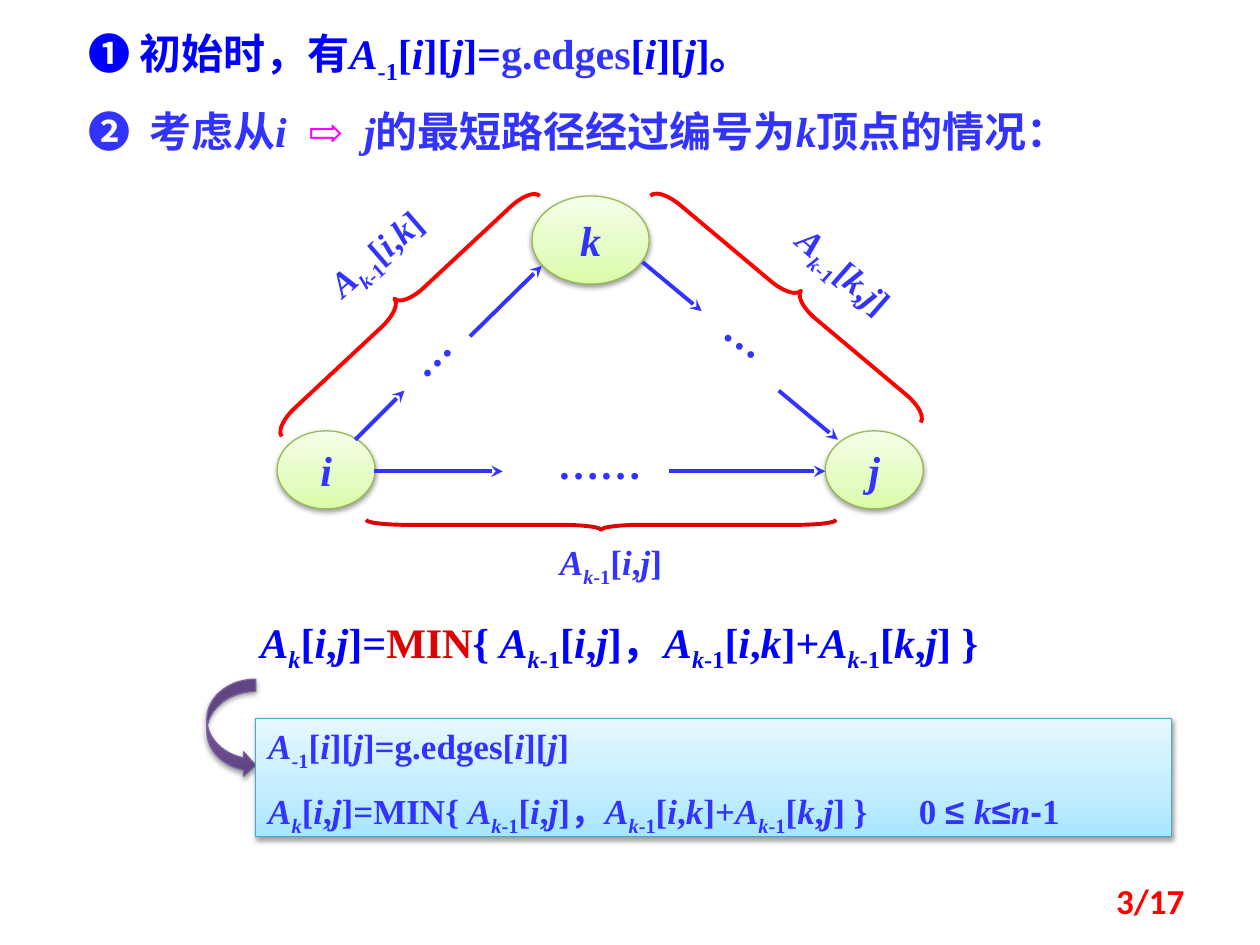
from lxml import etree
from pptx import Presentation
from pptx.dml.color import RGBColor
from pptx.enum import shapes, text
from pptx.oxml import ns
from pptx.util import Pt

COLORS = {"blue": "3333FF", "bright": "0000FF", "red": "FF0000", "crimson": "DB0303",
          "magenta": "FF00FF", "leaf": "98B955", "teal": "46AAC5", "purple": "7D60A0",
          "shadow": "000000"}
GRADIENTS = {"leaf": [(0, "DAFDA7"), (35, "E4FCC2"), (100, "F5FFE7")],
             "teal": [(0, "A7E6FF"), (35, "C1EDFF"), (100, "E7F8FF")],
             "purple": [(0, "5F4480"), (80, "7B58A6"), (100, "7C57A8")]}
SERIF, CJK, SANS = "Times New Roman", "Noto Sans CJK SC", "Calibri"
CENTER, LEFT, RIGHT = text.PP_ALIGN.CENTER, text.PP_ALIGN.LEFT, text.PP_ALIGN.RIGHT


def rgb(name):
    return RGBColor.from_string(COLORS[name])


def child(parent, tag, **attributes):
    return etree.SubElement(parent, ns.qn(tag), {key: str(value) for key, value in attributes.items()})


def matrix(index, row, column):
    return f"*A*~{index}~[*{row}*,*{column}*]"


def path_length(row, column):
    return matrix("*k*-1", row, column)


def minimum_terms():
    return f"{{ {path_length('i', 'j')}，{path_length('i', 'k')}+{path_length('k', 'j')} }}"


def add_runs(paragraph, markup, color, font=None):
    for level, part in enumerate(markup.split("~")):
        for slant, piece in enumerate(part.split("*")):
            if not piece:
                continue
            run = paragraph.add_run()
            run.text = piece
            run.font.italic = slant % 2 == 1
            run.font.color.rgb = rgb(color)
            if font:
                run.font.name = font
            if level % 2:
                run.font._rPr.set("baseline", "-25000")


def write(frame, paragraphs, size, font=SERIF, align=CENTER, tab=None):
    for index, segments in enumerate(paragraphs):
        paragraph = frame.paragraphs[0] if index == 0 else frame.add_paragraph()
        paragraph.alignment = align
        if index:
            paragraph.space_before = Pt(size / 2)
        properties = paragraph._p.get_or_add_pPr()
        if tab:
            child(child(properties, "a:tabLst"), "a:tab", pos=Pt(tab), algn="l")
        paragraph.font.name = font
        paragraph.font.size = Pt(size)
        paragraph.font.bold = True
        child(properties.find(ns.qn("a:defRPr")), "a:ea", typeface=CJK)
        for segment in segments:
            add_runs(paragraph, *segment)


def add_text(slide, box, paragraphs, size, rotation=0, inset=None, grow=True, **options):
    shape = slide.shapes.add_textbox(*map(Pt, box))
    shape.rotation = rotation
    frame = shape.text_frame
    frame.word_wrap = True
    if grow:
        frame.auto_size = text.MSO_AUTO_SIZE.SHAPE_TO_FIT_TEXT
    if inset is not None:
        frame.margin_left = frame.margin_right = frame.margin_top = frame.margin_bottom = Pt(inset)
    write(frame, paragraphs, size, **options)
    return shape


def add_glossy(slide, kind, box, color):
    shape = slide.shapes.add_shape(kind, *map(Pt, box))
    shape.fill.gradient()
    shape.fill.gradient_angle = 90
    stops = shape._element.spPr.find(".//" + ns.qn("a:gsLst"))
    for stop in list(stops):
        stops.remove(stop)
    for position, value in GRADIENTS[color]:
        child(child(stops, "a:gs", pos=position * 1000), "a:srgbClr", val=value)
    shape.line.color.rgb = rgb(color)
    shape.line.width = Pt(0.75)
    shape.shadow.inherit = False
    effects = shape._element.spPr.find(ns.qn("a:effectLst"))
    shadow = child(effects, "a:outerShdw", blurRad=Pt(3.1), dist=Pt(1.6),
                   dir=5400000, rotWithShape=0)
    child(child(shadow, "a:srgbClr", val=COLORS["shadow"]), "a:alpha", val=38000)
    return shape


def add_node(slide, box, name):
    frame = add_glossy(slide, shapes.MSO_SHAPE.OVAL, box, "leaf").text_frame
    frame.word_wrap = False
    frame.vertical_anchor = text.MSO_ANCHOR.MIDDLE
    write(frame, [[(f"*{name}*", "blue")]], 24)


def add_arrow(slide, *ends):
    connector = slide.shapes.add_connector(shapes.MSO_CONNECTOR.STRAIGHT, *map(Pt, ends))
    connector.line.color.rgb = rgb("blue")
    connector.line.width = Pt(2.25)
    child(connector.line._get_or_add_ln(), "a:tailEnd", type="stealth")
    child(connector._element.spPr, "a:effectLst")


def add_brace(slide, kind, box, rotation, curve, color):
    brace = slide.shapes.add_shape(kind, *map(Pt, box))
    brace.rotation = rotation
    brace.adjustments[0] = curve
    brace.fill.background()
    brace.line.color.rgb = rgb(color)
    brace.line.width = Pt(2.25)
    brace.shadow.inherit = False


def draw_steps(slide, box):
    initial = [("❶ 初始时，有*A*~-1~[*i*][*j*]=", "bright"), ("g.edges", "blue"),
               ("[*i*][*j*]。", "bright")]
    through = [("❷  考虑从*i  *", "blue"), ("⇨  ", "magenta"),
               ("*j*的最短路径经过编号为*k*顶点的情况：", "blue")]
    add_text(slide, box, [initial, through], 24, inset=0, align=LEFT)


def draw_graph(slide, left, top):
    def place(x, y, width, height):
        return left + x, top + y, width, height

    add_node(slide, place(146, 2, 67, 50.4), "k")
    for x, name in ((0.4, "i"), (313.6, "j")):
        add_node(slide, place(x, 136.2, 56, 44.6), name)

    for x1, y1, x2, y2 in ((45, 141.3, 73.1, 113.2), (110.6, 82.2, 151.6, 41.9),
                           (209.2, 39.8, 243, 67.8), (287, 113.2, 320.8, 141.3),
                           (55.8, 159.3, 129.3, 159.3), (224.3, 159.3, 313.6, 159.3)):
        add_arrow(slide, left + x1, top + y1, left + x2, top + y2)

    left_brace, right_brace = shapes.MSO_SHAPE.LEFT_BRACE, shapes.MSO_SHAPE.RIGHT_BRACE
    for kind, box, rotation, curve, color in (
            (left_brace, (65.2, -35.1, 13.7, 201.6), 47, 1.2, "red"),
            (left_brace, (288.4, -39.4, 13.7, 201.6), 130, 1.2, "red"),
            (right_brace, (182.6, 55.6, 5.8, 268.6), 90, 3.94, "crimson")):
        add_brace(slide, kind, place(*box), rotation, curve, color)

    for box, rotation, dots, font in (((67.4, 80.8, 50.4, 35.3), 135, "…", CJK),
                                      ((240.2, 70, 50.4, 35.3), 35.8, "…", CJK),
                                      ((134.3, 136.2, 100.8, 35.3), 0, "……", SERIF)):
        add_text(slide, place(*box), [[(dots, "blue")]], 24, rotation, font=font)

    for box, rotation, ends in (((6.2, 18.9, 100.8, 31.7), 319.1, "ik"),
                                ((274, 29, 100.8, 31.7), 41.2, "kj"),
                                ((135, 195.3, 112.3, 31.7), 0, "ij")):
        add_text(slide, place(*box), [[(path_length(*ends), "blue")]], 20, rotation)


def draw_formula(slide, box):
    formula = [(matrix("*k*", "i", "j") + "=", "bright"), ("MIN", "crimson"),
               (minimum_terms(), "bright")]
    add_text(slide, box, [formula], 24)


def draw_recurrence(slide, box):
    left, top, width, height = box
    add_glossy(slide, shapes.MSO_SHAPE.CURVED_RIGHT_ARROW,
               (left - 28, top - 22.3, 28, 56.2), "purple")
    panel = add_glossy(slide, shapes.MSO_SHAPE.RECTANGLE, box, "teal")
    frame = panel.text_frame
    frame.word_wrap = True
    frame.auto_size = text.MSO_AUTO_SIZE.SHAPE_TO_FIT_TEXT
    frame.vertical_anchor = text.MSO_ANCHOR.TOP
    base = [("*A*~-1~[*i*][*j*]=g.edges[*i*][*j*]", "blue")]
    step = [(matrix("*k*", "i", "j") + "=MIN" + minimum_terms() + "\t0 ", "blue"),
            ("≤ ", "blue", "Arial"), ("*k*", "blue"), ("≤", "blue", "Arial"),
            ("*n*", "blue"), ("-", "blue", "Arial"), ("1", "blue")]
    write(frame, [base, step], 20, align=LEFT, tab=371.8)


def draw_page_number(slide, box):
    number = add_text(slide, box, [[("3/17", "red")]], 20, grow=False, font=SANS, align=RIGHT)
    number.text_frame.vertical_anchor = text.MSO_ANCHOR.MIDDLE


def main():
    presentation = Presentation()
    presentation.slide_width, presentation.slide_height = Pt(720), Pt(540)
    slide = presentation.slides.add_slide(presentation.slide_layouts[6])
    draw_formula(slide, (110.2, 348.5, 487.4, 36))
    draw_graph(slide, 158, 110)
    draw_steps(slide, (50.4, 15.8, 612, 72.7))
    draw_recurrence(slide, (146.2, 410.4, 523.4, 67.7))
    draw_page_number(slide, (516.2, 500.4, 167.8, 28.8))
    presentation.save("out.pptx")


if __name__ == "__main__":
    main()
